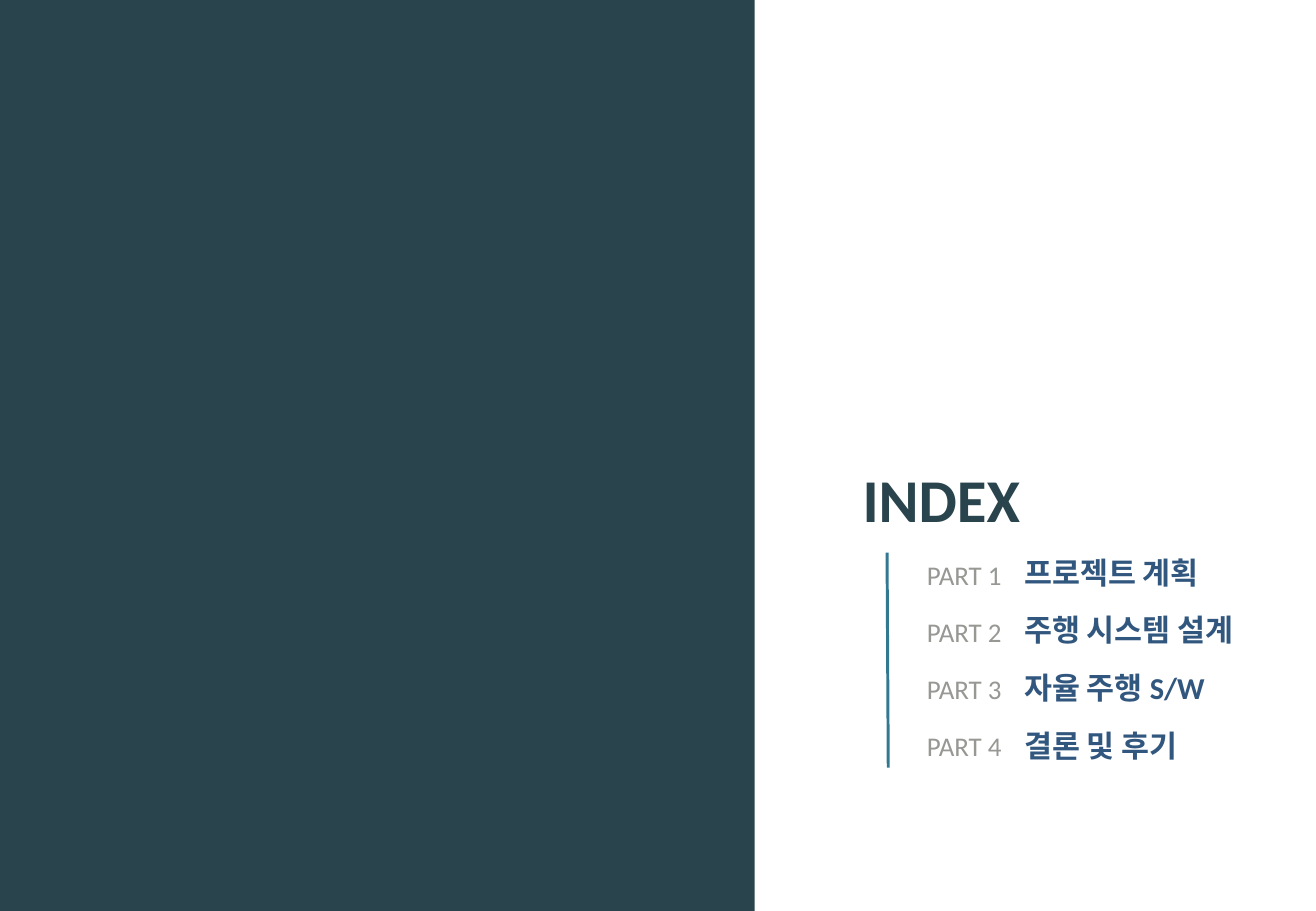
from pptx import Presentation
from pptx.dml.color import RGBColor
from pptx.enum.shapes import MSO_CONNECTOR, MSO_SHAPE
from pptx.enum.text import MSO_AUTO_SIZE
from pptx.util import Pt
from lxml.etree import SubElement
from pptx.oxml.ns import qn

PX = 4572  # 200 px to the inch
TEAL, WHITE, BLUE, GREY, NAVY = "29444D", "FFFFFF", "327891", "969893", "32577F"
PARTS = ["프로젝트 계획", "주행 시스템 설계", "자율 주행 S/W", "결론 및 후기"]


def color(code):
    return RGBColor.from_string(code)


class Deck:
    font = "Calibri"

    def __init__(self, width, height):
        self.prs = Presentation()
        self.prs.slide_width = width * PX
        self.prs.slide_height = height * PX
        self.slide = self.prs.slides.add_slide(self.prs.slide_layouts[6])

    def back(self, code):
        fill = self.slide.background.fill
        fill.solid()
        fill.fore_color.rgb = color(code)

    def rect(self, left, top, width, height, code):
        box = self.slide.shapes.add_shape(
            MSO_SHAPE.RECTANGLE, left * PX, top * PX, width * PX, height * PX)
        box.shadow.inherit = False
        box.fill.solid()
        box.fill.fore_color.rgb = color(code)
        box.line.fill.background()

    def line(self, x1, y1, x2, y2, code, width):
        rule = self.slide.shapes.add_connector(
            MSO_CONNECTOR.STRAIGHT, x1 * PX, y1 * PX, x2 * PX, y2 * PX)
        rule.line.color.rgb = color(code)
        rule.line.width = Pt(width)
        SubElement(rule._element.spPr, qn("a:effectLst"))

    def text(self, left, top, width, height, words, size, code, bold=False):
        box = self.slide.shapes.add_textbox(
            left * PX, top * PX, width * PX, height * PX)
        frame = box.text_frame
        frame.word_wrap = True
        frame.auto_size = MSO_AUTO_SIZE.SHAPE_TO_FIT_TEXT
        para = frame.paragraphs[0]
        para.text = words
        para.font.name = self.font
        para.font.size = Pt(size)
        para.font.bold = bold
        para.font.color.rgb = color(code)

    def save(self):
        self.prs.save("out.pptx")


def main():
    deck = Deck(2166, 1500)

    # Dark left side, white right panel
    deck.back(TEAL)
    deck.rect(1242, 0, 924, 1500, WHITE)

    # Heading and vertical rule
    deck.text(1400, 750, 354, 142, "INDEX", 36, TEAL, bold=True)
    deck.line(1460, 910, 1462, 1264, BLUE, 1.75)

    # Part numbers and titles
    for i, title in enumerate(PARTS):
        deck.text(1506, 910 + 94 * i, 186, 74, f"PART {i + 1}", 16, GREY)
        deck.text(1666, 902 + 95 * i, 458, 80, title, 18, NAVY, bold=True)

    deck.save()


if __name__ == "__main__":
    main()
